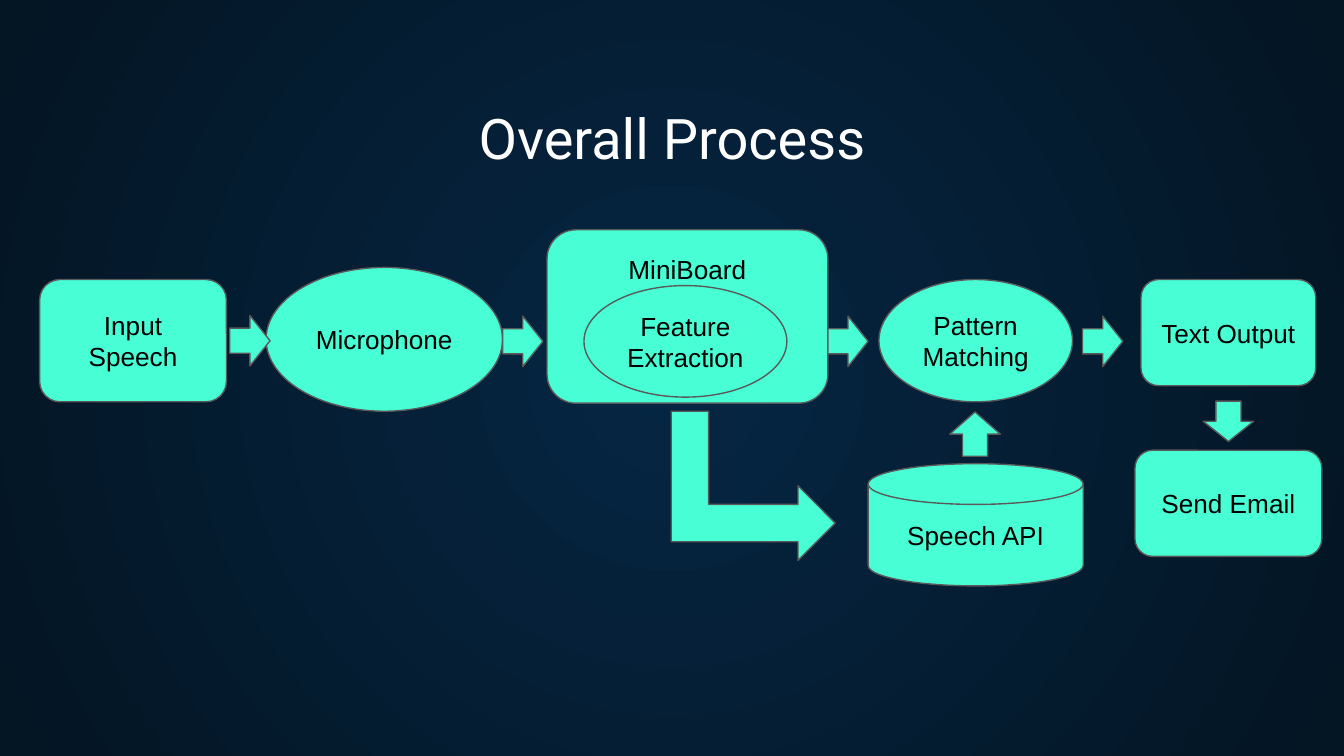
from lxml import etree
from pptx import Presentation
from pptx.dml.color import RGBColor
from pptx.enum.shapes import MSO_SHAPE
from pptx.enum.text import MSO_ANCHOR, PP_ALIGN
from pptx.oxml.ns import qn
from pptx.util import Inches, Pt

BOX = MSO_SHAPE.ROUNDED_RECTANGLE
OVAL = MSO_SHAPE.OVAL
DISK = MSO_SHAPE.FLOWCHART_MAGNETIC_DISK
ARROW = MSO_SHAPE.RIGHT_ARROW
BENT_ARROW = MSO_SHAPE.BENT_UP_ARROW
TOP, MIDDLE, BOTTOM = MSO_ANCHOR.TOP, MSO_ANCHOR.MIDDLE, MSO_ANCHOR.BOTTOM
CENTER = PP_ALIGN.CENTER

COLORS = {
    "glow": "052643",
    "edge": "041523",
    "step": "48FFD5",
    "outline": "595959",
    "label": "000000",
    "title": "FFFFFF",
}

# The slide is a grid of square cells, 100 columns by 56.25 rows.
COLUMNS, ROWS = 100, 56.25
MAIN_ROW = 25.35
RIGHT, DOWN, UP = 0, 90, 270

# label, shape, left column, middle row, columns wide, rows high
STEPS = [
    ("Input Speech", BOX, 2.95, MAIN_ROW, 13.9, 9.1),
    ("Microphone", OVAL, 19.8, MAIN_ROW - 0.1, 17.6, 10.7),
    ("Pattern Matching", OVAL, 65.4, MAIN_ROW, 14.4, 9.1),
    ("Text Output", BOX, 84.9, 24.75, 13, 7.9),
    ("Send Email", BOX, 84.45, 37.45, 13.9, 7.9),
    ("Speech API", DISK, 64.6, 39.05, 16, 9.1),
]
BOARD = ("MiniBoard", BOX, 40.7, 23.55, 20.9, 12.9)
FEATURES = ("Feature Extraction", OVAL, 43.45, 25.4, 15.1, 8.3)

# left column, middle row, length, direction
SMALL_ARROWS = [
    (17.1, MAIN_ROW, 3, RIGHT),
    (37.4, MAIN_ROW + 0.05, 3, RIGHT),
    (61.6, MAIN_ROW + 0.05, 3, RIGHT),
    (80.55, MAIN_ROW + 0.05, 3, RIGHT),
    (70.9, 32.3, 3.3, UP),
    (89.9, 31.35, 3, DOWN),
]


def cells(count):
    return Inches(count / 10)


def color(name):
    return RGBColor.from_string(COLORS[name])


def paint_background(slide):
    """Radial gradient that glows from the middle of the slide."""
    fill = slide.background.fill
    fill.gradient()
    for stop, name in zip(fill.gradient_stops, ("glow", "edge")):
        stop.color.rgb = color(name)
    gradient = next(slide.element.iter(qn("a:gradFill")))
    gradient.remove(gradient.find(qn("a:lin")))
    radial = etree.SubElement(gradient, qn("a:path"), path="circle")
    etree.SubElement(radial, qn("a:fillToRect"), l="50000", t="50000", r="50000", b="50000")


def write(shape, text, size, font, color_name, anchor):
    frame = shape.text_frame
    frame.word_wrap = True
    frame.vertical_anchor = anchor
    frame.margin_left = frame.margin_right = cells(1)
    frame.margin_top = frame.margin_bottom = cells(1)
    paragraph = frame.paragraphs[0]
    paragraph.alignment = CENTER
    run = paragraph.add_run()
    run.text = text
    run.font.size = Pt(size)
    run.font.name = font
    run.font.color.rgb = color(color_name)


def add_title(slide, text):
    title = slide.shapes.add_textbox(cells(3.4), cells(7.1), cells(COLUMNS - 6.8), cells(6.6))
    write(title, text, 30, "Roboto", "title", BOTTOM)


def add_figure(slide, kind, left, middle, width, height):
    """Outlined shape whose vertical centre lies on the row `middle`."""
    figure = slide.shapes.add_shape(
        kind, cells(left), cells(middle - height / 2), cells(width), cells(height))
    figure.shadow.inherit = False
    figure.fill.solid()
    figure.fill.fore_color.rgb = color("step")
    figure.line.color.rgb = color("outline")
    figure.line.width = Pt(0.75)
    return figure


def add_step(slide, label, *placement, anchor=MIDDLE):
    step = add_figure(slide, *placement)
    write(step, label, 14, "Arial", "label", anchor)
    return step


def add_arrow(slide, kind, left, middle, width, height, direction):
    arrow = add_figure(slide, kind, left, middle, width, height)
    arrow.rotation = direction


def main():
    deck = Presentation()
    deck.slide_width, deck.slide_height = cells(COLUMNS), cells(ROWS)
    slide = deck.slides.add_slide(deck.slide_layouts[6])
    paint_background(slide)
    add_title(slide, "Overall Process")

    for step in STEPS:
        add_step(slide, *step)
    board = add_step(slide, *BOARD, anchor=TOP)
    board.text_frame.margin_top = cells(1.1)
    add_step(slide, *FEATURES)

    for left, middle, length, direction in SMALL_ARROWS:
        add_arrow(slide, ARROW, left, middle, length, 3.75, direction)
    add_arrow(slide, BENT_ARROW, 50.5, 36.15, 11.1, 12.2, DOWN)

    deck.save("out.pptx")


if __name__ == "__main__":
    main()
